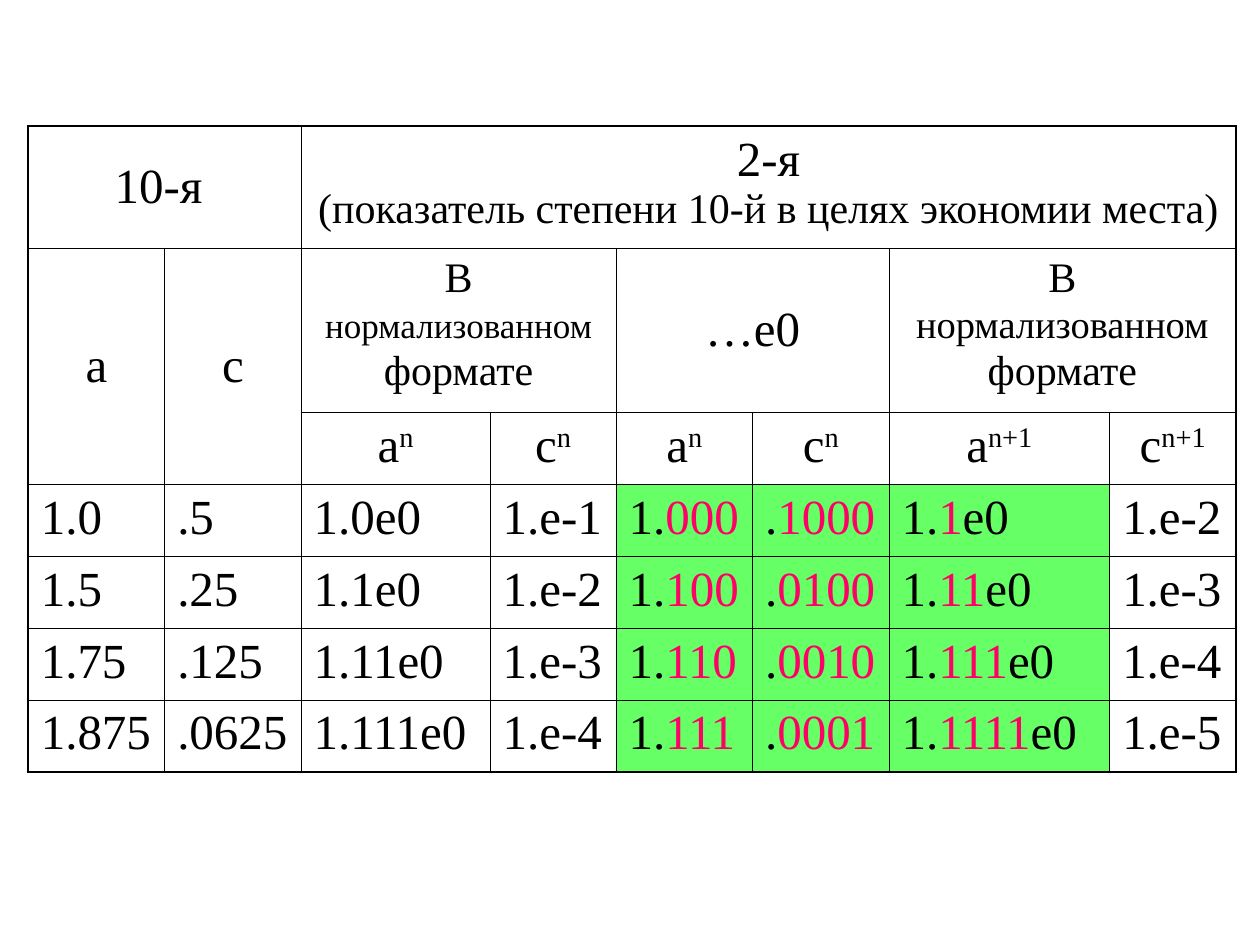
import dataclasses
import itertools

import pptx
import pptx.dml.color
import pptx.enum.text
import pptx.oxml.ns
import pptx.table
import pptx.util
from lxml import etree

Cm = pptx.util.Cm
Pt = pptx.util.Pt
COLORS = {"ink": "000000", "accent": "FF0066", "green": "66FF66"}
FONT = "Times New Roman"
COLUMN_WIDTHS = [2.75, 2.75, 3.81, 2.54, 2.75, 2.75, 4.45, 2.54]
ROW_HEIGHTS = [2.47, 3.3] + [1.45] * 5
THICK, THIN = 1.08, 0.45
GREEN_COLUMNS = range(4, 7)
FIRST_DATA_ROW = 3


@dataclasses.dataclass
class Run:
    text: str
    size: int = 28
    color: str = "ink"
    superscript: bool = False


@dataclasses.dataclass
class CellText:
    row: int
    col: int
    lines: list[list[Run]]
    row_span: int = 1
    col_span: int = 1
    middle: bool = False
    centered: bool = True
    space_before: int = 7


def normalized_heading(col: int, size: int) -> CellText:
    runs = [Run("В ", 24), Run("нормализованном", size), Run(" формате", 24)]
    return CellText(1, col, [runs], col_span=2, space_before=6)


def data_cell(row: int, col: int, marked: str) -> CellText:
    runs = [
        Run(part, color="accent" if i % 2 else "ink")
        for i, part in enumerate(marked.split("|"))
        if part
    ]
    return CellText(row, col, [runs], centered=False)


def set_borders(cell: pptx.table._Cell, widths: dict[str, float]) -> None:
    tcPr = cell._tc.get_or_add_tcPr()
    qn = pptx.oxml.ns.qn
    for side, width in widths.items():
        ln = etree.SubElement(tcPr, qn(f"a:ln{side}"), w=str(Pt(width)))
        fill = etree.SubElement(ln, qn("a:solidFill"))
        etree.SubElement(fill, qn("a:srgbClr"), val=COLORS["ink"])


def format_cell(table: pptx.table.Table, row: int, col: int) -> None:
    cell = table.cell(row, col)
    last_row = row + (cell.span_height if cell.is_merge_origin else 1)
    last_col = col + (cell.span_width if cell.is_merge_origin else 1)
    outer = {
        "L": col == 0,
        "R": last_col == len(COLUMN_WIDTHS),
        "T": row == 0,
        "B": last_row == len(ROW_HEIGHTS),
    }
    set_borders(cell, {side: THICK if edge else THIN for side, edge in outer.items()})
    if row >= FIRST_DATA_ROW and col in GREEN_COLUMNS:
        cell.fill.solid()
        cell.fill.fore_color.rgb = pptx.dml.color.RGBColor.from_string(COLORS["green"])
    else:
        cell.fill.background()


def write_cell(table: pptx.table.Table, item: CellText) -> None:
    cell = table.cell(item.row, item.col)
    if item.row_span * item.col_span > 1:
        cell.merge(table.cell(item.row + item.row_span - 1, item.col + item.col_span - 1))
    if item.middle:
        cell.vertical_anchor = pptx.enum.text.MSO_ANCHOR.MIDDLE
    p = cell.text_frame.paragraphs[0]
    align = pptx.enum.text.PP_ALIGN
    formats = {
        "alignment": align.CENTER if item.centered else align.LEFT,
        "space_before": Pt(item.space_before),
    }
    for name, value in formats.items():
        setattr(p, name, value)
    for i, line in enumerate(item.lines):
        if i:
            p.add_line_break()
        for run in line:
            r = p.add_run()
            r.text = run.text
            for name, value in {"name": FONT, "size": Pt(run.size), "bold": False}.items():
                setattr(r.font, name, value)
            r.font.color.rgb = pptx.dml.color.RGBColor.from_string(COLORS[run.color])
            if run.superscript:
                r.font._element.set("baseline", "30000")


HEADINGS = [
    CellText(0, 0, [[Run("10-я ")]], col_span=2, middle=True),
    CellText(
        0, 2,
        [[Run("2-я")], [Run("(показатель степени 10-й в целях экономии места)", 24)]],
        col_span=6, space_before=6,
    ),
    CellText(1, 0, [[Run("a")]], row_span=2, middle=True),
    CellText(1, 1, [[Run("c")]], row_span=2, middle=True),
    normalized_heading(2, 20),
    CellText(1, 4, [[Run("…e0")]], col_span=2, middle=True),
    normalized_heading(6, 22),
]
SYMBOLS = [
    CellText(2, col, [[Run(letter), Run(index, superscript=True)]])
    for col, (index, letter) in enumerate(itertools.product(["n", "n", "n+1"], "ac"), 2)
]
DATA = [
    ["1.0", ".5", "1.0e0", "1.e-1", "1.|000", ".|1000", "1.|1|e0", "1.e-2"],
    ["1.5", ".25", "1.1e0", "1.e-2", "1.|100", ".|0100", "1.|11|e0", "1.e-3"],
    ["1.75", ".125", "1.11e0", "1.e-3", "1.|110", ".|0010", "1.|111|e0", "1.e-4"],
    ["1.875", ".0625", "1.111e0", "1.e-4", "1.|111", ".|0001", "1.|1111|e0", "1.e-5"],
]


def main() -> None:
    prs = pptx.Presentation()
    prs.slide_width, prs.slide_height = Cm(25.4), Cm(19.05)
    s = prs.slides.add_slide(prs.slide_layouts[6])
    frame = s.shapes.add_table(
        len(ROW_HEIGHTS), len(COLUMN_WIDTHS),
        Cm(0.57), Cm(2.54), Cm(sum(COLUMN_WIDTHS)), Cm(sum(ROW_HEIGHTS)),
    )
    table = frame.table
    table.first_row = table.horz_banding = False
    for column, width in zip(table.columns, COLUMN_WIDTHS):
        column.width = Cm(width)
    for row, height in zip(table.rows, ROW_HEIGHTS):
        row.height = Cm(height)
    data_cells = [
        data_cell(row, col, marked)
        for row, values in enumerate(DATA, FIRST_DATA_ROW)
        for col, marked in enumerate(values)
    ]
    for item in HEADINGS + SYMBOLS + data_cells:
        write_cell(table, item)
    for row, col in itertools.product(range(len(ROW_HEIGHTS)), range(len(COLUMN_WIDTHS))):
        format_cell(table, row, col)
    prs.save("out.pptx")


if __name__ == "__main__":
    main()
